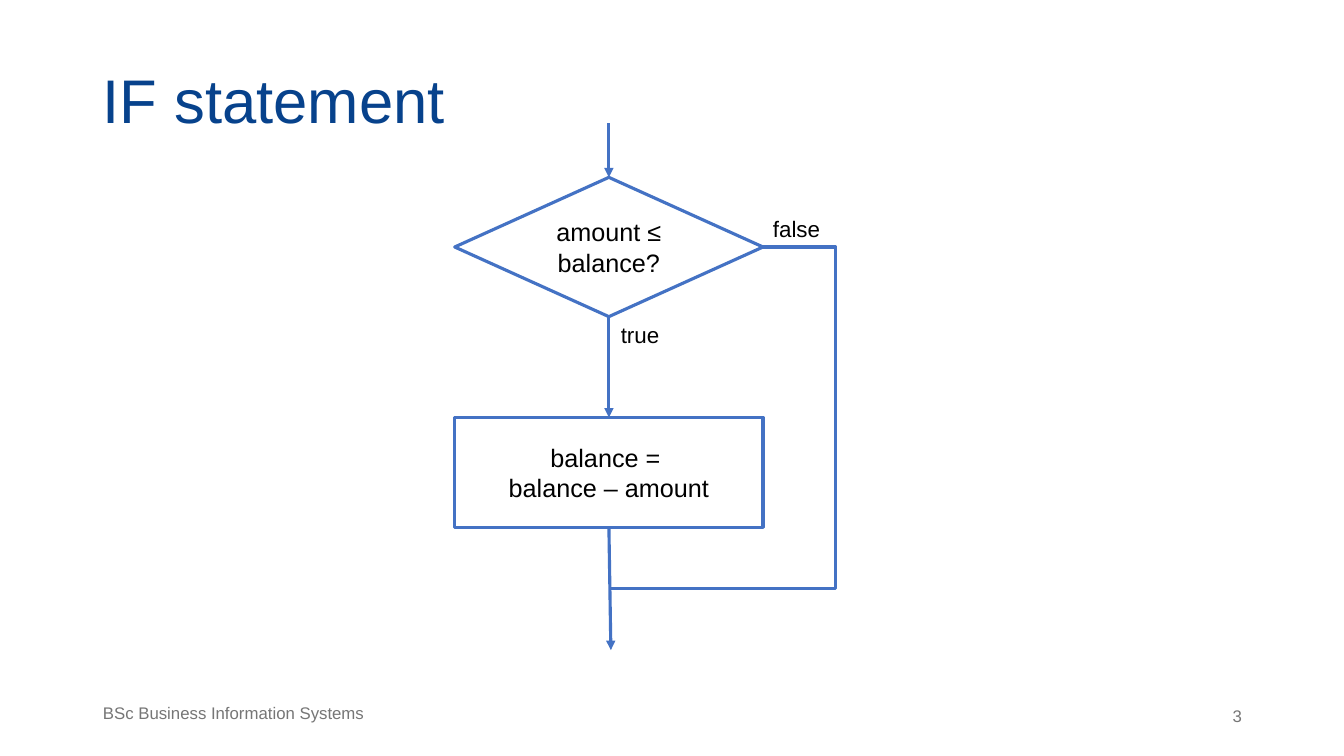
from dataclasses import dataclass

from lxml.etree import SubElement
from pptx import Presentation
from pptx.dml.color import RGBColor as Rgb
from pptx.enum.shapes import MSO_CONNECTOR as Link, MSO_SHAPE as Kind
from pptx.enum.text import MSO_ANCHOR as Anchor, MSO_AUTO_SIZE as Fit, PP_ALIGN as Align
from pptx.oxml.ns import qn
from pptx.util import Cm, Pt


@dataclass(frozen=True)
class Theme:
    """Colours, font and type sizes of the slide."""
    font: str = "Arial"
    head: Rgb = Rgb(0x07, 0x42, 0x8C)
    gray: Rgb = Rgb(0x76, 0x76, 0x76)
    ink: Rgb = Rgb(0, 0, 0)
    blue: Rgb = Rgb(0x44, 0x72, 0xC4)
    white: Rgb = Rgb(0xFF, 0xFF, 0xFF)
    big: int = 44
    node: int = 18
    label: int = 16
    small: int = 12
    line: float = 2.25


T = Theme()


def place(shape, box):
    """Move a shape to a box of left, top, width and height in cm."""
    shape.left, shape.top, shape.width, shape.height = map(Cm, box)


def write(frame, lines, size, color, align=Align.LEFT):
    """Write each line as one paragraph with one run."""
    for i, line in enumerate(lines):
        para = frame.add_paragraph() if i else frame.paragraphs[0]
        para.alignment = align
        run = para.add_run()
        run.text = line
        font = run.font
        font.name, font.size, font.color.rgb = T.font, Pt(size), color


def head(slide, box):
    """Fill the title placeholder."""
    title = slide.shapes.title
    place(title, box)
    frame = title.text_frame
    frame.auto_size, frame.vertical_anchor = Fit.NONE, Anchor.BOTTOM
    frame.margin_left = frame.margin_right = Cm(0.25)
    frame.margin_top = frame.margin_bottom = Cm(0.25)
    write(frame, ["IF statement"], T.big, T.head)
    frame.paragraphs[0].line_spacing = 0.9


def foot(slide, box):
    """Set the course name at the left and the page number at the right."""
    x, y, w, h = box
    body = slide.placeholders[1]
    place(body, (x, y, 8.6, h))
    frame = body.text_frame
    frame.auto_size = Fit.NONE
    write(frame, ["BSc Business Information Systems"], T.small, T.gray)
    para = frame.paragraphs[0]
    para.line_spacing, para.space_before = 0.9, Pt(10)
    props = para._p.get_or_add_pPr()
    props.set("marL", "0")
    props.set("indent", "0")
    SubElement(props, qn("a:buNone"))
    wide = 5.66
    page = slide.shapes.add_textbox(Cm(x + w - wide), Cm(y + 0.02), Cm(wide), Cm(h))
    page.text_frame.word_wrap = True
    write(page.text_frame, ["3"], T.small, T.gray, Align.RIGHT)


def node(slide, kind, box, lines):
    """Add an outlined flowchart step with centred text."""
    step = slide.shapes.add_shape(kind, *map(Cm, box))
    step.shadow.inherit = False
    step.fill.solid()
    step.fill.fore_color.rgb = T.white
    step.line.color.rgb, step.line.width = T.blue, Pt(T.line)
    step.text_frame.word_wrap = True
    step.text_frame.vertical_anchor = Anchor.MIDDLE
    write(step.text_frame, lines, T.node, T.ink, Align.CENTER)
    return step


def wire(slide, kind, start, end, arrow=True):
    """Add a connector between two points, with an arrowhead if asked."""
    link = slide.shapes.add_connector(kind, *map(Cm, start + end))
    link.line.color.rgb, link.line.width = T.blue, Pt(T.line)
    if arrow:
        SubElement(link.line._get_or_add_ln(), qn("a:tailEnd"), type="triangle")
    SubElement(link._element.spPr, qn("a:effectLst"))
    return link


def bend(link, *ratios):
    """Give an elbow connector four legs at the given ratios."""
    geom = link._element.spPr.find(qn("a:prstGeom"))
    geom.set("prst", "bentConnector4")
    guides = geom.find(qn("a:avLst"))
    for i, ratio in enumerate(ratios, 1):
        SubElement(guides, qn("a:gd"), name=f"adj{i}", fmla=f"val {round(ratio * 100000)}")


def label(slide, box, text):
    """Add a branch label."""
    note = slide.shapes.add_textbox(*map(Cm, box))
    note.text_frame.word_wrap = False
    note.text_frame.auto_size = Fit.SHAPE_TO_FIT_TEXT
    write(note.text_frame, [text], T.label, T.ink)


def flow(slide, box):
    """Draw the IF flowchart from its entry to its exit arrow."""
    x, y, w, h = box
    wide, tall = 7.77, 3.51
    mid, right, base = x + wide / 2, x + wide, y + h
    top, step = y + 1.37, y + 7.42
    low, turn, join = top + tall, top + tall / 2, y + 11.73
    out = mid + 0.05
    test = node(slide, Kind.FLOWCHART_DECISION, (x, top, wide, tall), ["amount ≤ balance?"])
    task = node(slide, Kind.RECTANGLE, (x, step, wide, 2.77),
                ["balance = ", "balance – amount"])
    yes = wire(slide, Link.STRAIGHT, (mid, low), (mid, step))
    yes.begin_connect(test, 2)
    yes.end_connect(task, 0)
    wire(slide, Link.STRAIGHT, (mid, y), (mid, top)).end_connect(test, 0)
    wire(slide, Link.STRAIGHT, (mid, step + 2.77), (out, base)).begin_connect(task, 2)
    skip = wire(slide, Link.ELBOW, (right, turn), (out, join), arrow=False)
    bend(skip, (right - x - w) / (right - out), 1)
    label(slide, (out, low, 1.5, 0.94), "true")
    label(slide, (right, turn - 0.94, 1.73, 0.94), "false")


def main():
    """Build and save the slide."""
    deck = Presentation()
    deck.slide_width, deck.slide_height = Cm(33.87), Cm(19.05)
    slide = deck.slides.add_slide(deck.slide_layouts[1])
    head(slide, (2.34, 1.32, 23.83, 2.39))
    foot(slide, (2.34, 17.63, 29.21, 1.03))
    flow(slide, (11.46, 3.1, 9.6, 13.28))
    deck.save("out.pptx")


if __name__ == "__main__":
    main()
